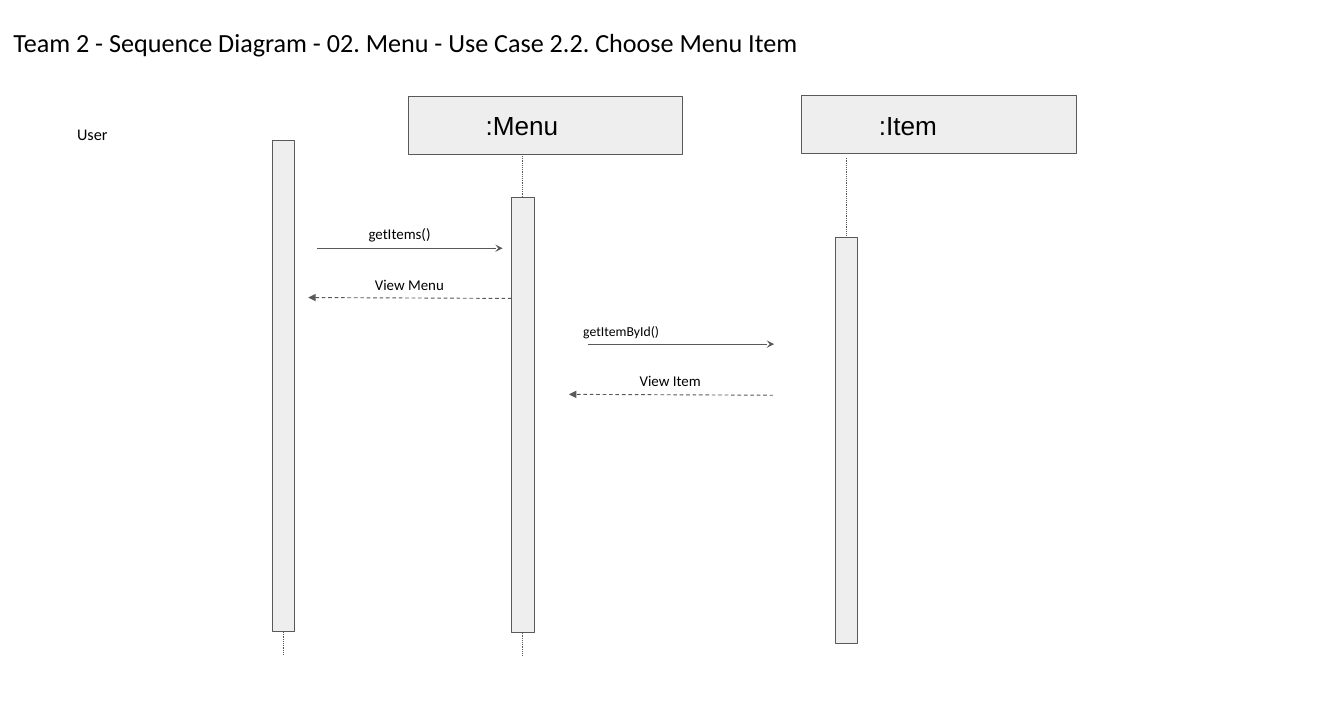
import pptx
import pptx.util
import pptx.dml.color
import pptx.enum.dml
import pptx.enum.shapes
import pptx.enum.text
import pptx.oxml
import pptx.oxml.ns

Inches = pptx.util.Inches
Anchor = pptx.enum.text.MSO_ANCHOR
Align = pptx.enum.text.PP_ALIGN
Dash = pptx.enum.dml.MSO_LINE

TITLE = "Team 2 - Sequence Diagram - 02. Menu - Use Case 2.2. Choose Menu Item"
ACTOR = ("User", 0.05, 1.3, 1.96, 0.18)

ACTIVATIONS = [
    {"left": 3.04, "top": 1.57, "bottom": 7.05, "above": 0, "below": 0.25},
    {"left": 5.71, "top": 2.2, "bottom": 7.06, "above": 0.89, "below": 0.25},
    {"left": 9.32, "top": 2.65, "bottom": 7.18, "above": 0.89, "below": 0},
]
HEADERS = [(":Menu", 4.56, 1.08), (":Item", 8.95, 1.07)]

MESSAGES = [
    {"text": "getItems()", "kind": "call", "start": 3.54, "end": 5.61, "row": 2.77, "label": 3.33},
    {"text": "View Menu", "kind": "reply", "start": 5.71, "end": 3.44, "row": 3.32, "label": 3.72},
    {"text": "getItemById()", "kind": "call", "start": 6.56, "end": 8.64, "row": 3.84, "label": 6.36,
     "size": 11, "align": Align.LEFT, "spacing": 1.15},
    {"text": "View Item", "kind": "reply", "start": 8.63, "end": 6.35, "row": 4.4, "label": 6.63},
]
KINDS = {
    "call": {"head": "stealth", "dash": None, "drop": 0, "width": 2.26, "height": 0.47, "anchor": Anchor.MIDDLE},
    "reply": {"head": "triangle", "dash": Dash.DASH, "drop": 0.01, "width": 1.7, "height": 0.85, "anchor": Anchor.TOP},
}

BAR_WIDTH = 0.25
HEADER_WIDTH, HEADER_HEIGHT, HEADER_INDENT = 3.06, 0.64, 0.86
LABEL_RISE = 0.4
FILL, STROKE, INK = "EEEEEE", "595959", "000000"


def color(value):
    return pptx.dml.color.RGBColor.from_string(value)


def write(shape, text, size, font="Calibri", align=Align.LEFT, anchor=Anchor.TOP, inset=0.15, left_inset=None):
    frame = shape.text_frame
    frame.auto_size = pptx.enum.text.MSO_AUTO_SIZE.NONE
    frame.word_wrap = True
    frame.vertical_anchor = anchor
    frame.margin_left = Inches(inset if left_inset is None else left_inset)
    frame.margin_right = frame.margin_top = frame.margin_bottom = Inches(inset)
    frame.text = text
    para = frame.paragraphs[0]
    para.alignment = align
    para.font.name = font
    para.font.size = pptx.util.Pt(size)
    para.font.color.rgb = color(INK)
    return para


def add_label(slide, text, left, top, width, height, size, **style):
    box = slide.shapes.add_textbox(*map(Inches, (left, top, width, height)))
    return write(box, text, size, **style)


def add_box(slide, left, top, width, height):
    box = slide.shapes.add_shape(
        pptx.enum.shapes.MSO_SHAPE.RECTANGLE, *map(Inches, (left, top, width, height)))
    box.shadow.inherit = False
    box.fill.solid()
    box.fill.fore_color.rgb = color(FILL)
    box.line.color.rgb = color(STROKE)
    box.line.width = pptx.util.Pt(0.75)
    return box


def add_line(slide, start_x, start_y, end_x, end_y, dash=None, head=None):
    line = slide.shapes.add_connector(
        pptx.enum.shapes.MSO_CONNECTOR.STRAIGHT, *map(Inches, (start_x, start_y, end_x, end_y)))
    line.line.color.rgb = color(STROKE)
    line.line.width = pptx.util.Pt(0.75)
    if dash:
        line.line.dash_style = dash
    if head:
        arrow = pptx.oxml.parse_xml(
            f'<a:tailEnd {pptx.oxml.ns.nsdecls("a")} type="{head}" w="med" len="med"/>')
        line.line._get_or_add_ln().append(arrow)
    line._element.spPr.append(pptx.oxml.parse_xml(f'<a:effectLst {pptx.oxml.ns.nsdecls("a")}/>'))


def add_activation(slide, bar):
    center = bar["left"] + BAR_WIDTH / 2
    if bar["above"]:
        add_line(slide, center, bar["top"] - bar["above"], center, bar["top"], Dash.ROUND_DOT)
    if bar["below"]:
        add_line(slide, center, bar["bottom"], center, bar["bottom"] + bar["below"], Dash.ROUND_DOT)
    add_box(slide, bar["left"], bar["top"], BAR_WIDTH, bar["bottom"] - bar["top"])


def add_message(slide, message):
    kind = KINDS[message["kind"]]
    row = message["row"]
    add_line(slide, message["start"], row + kind["drop"], message["end"], row, kind["dash"], kind["head"])
    para = add_label(
        slide, message["text"], message["label"], row - LABEL_RISE, kind["width"], kind["height"],
        message.get("size", 12), align=message.get("align", Align.CENTER), anchor=kind["anchor"])
    if "spacing" in message:
        para.line_spacing = message["spacing"]


def main():
    deck = pptx.Presentation()
    deck.slide_width, deck.slide_height = Inches(15), Inches(8)
    slide = deck.slides.add_slide(deck.slide_layouts[5])

    title = slide.shapes.title
    title.left, title.top, title.width, title.height = map(Inches, (0, 0.14, 11.73, 0.97))
    write(title, TITLE, 21)
    text, *place = ACTOR
    add_label(slide, text, *place, 13, align=Align.CENTER, inset=0.2)

    for bar in ACTIVATIONS:
        add_activation(slide, bar)
    for text, left, top in HEADERS:
        header = add_box(slide, left, top, HEADER_WIDTH, HEADER_HEIGHT)
        write(header, text, 21, font="Arial", anchor=Anchor.MIDDLE, left_inset=HEADER_INDENT)
    for message in MESSAGES:
        add_message(slide, message)

    deck.save("out.pptx")


if __name__ == "__main__":
    main()
